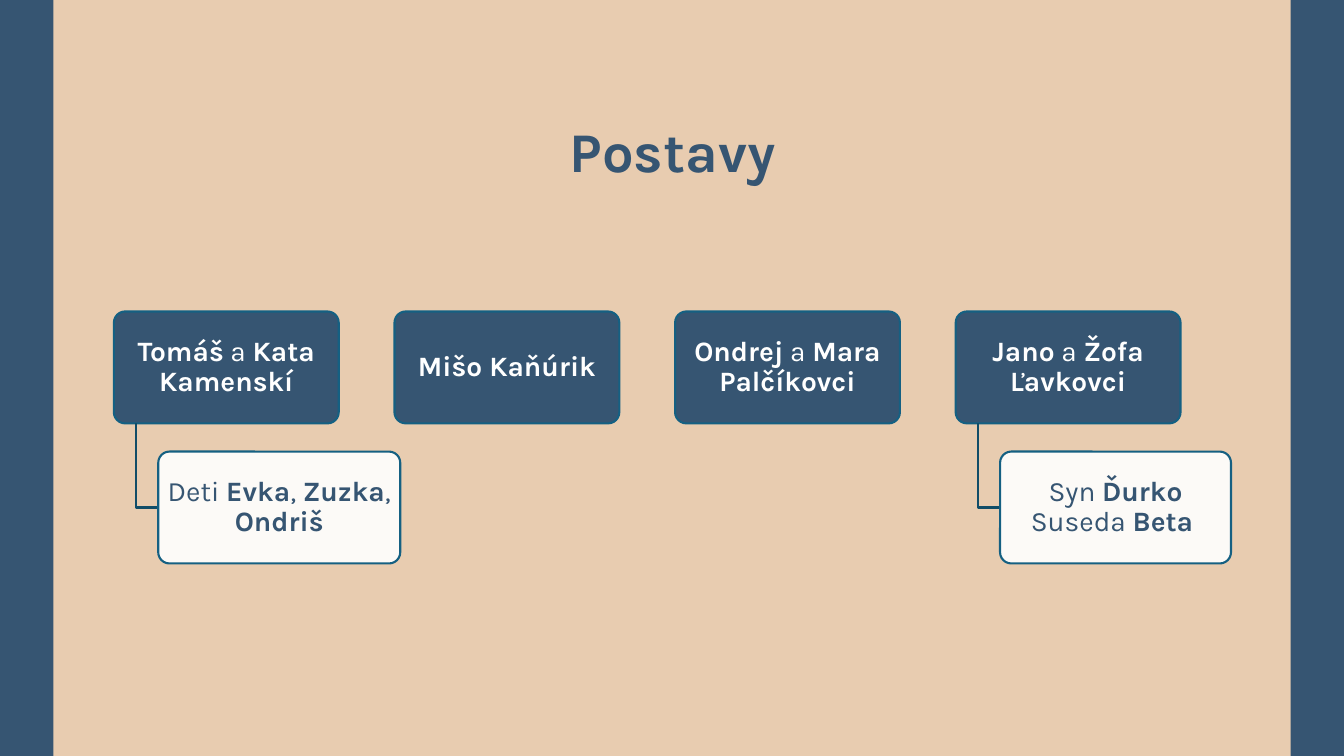
from lxml.etree import SubElement
from pptx import Presentation
from pptx.dml.color import RGBColor
from pptx.enum.shapes import MSO_SHAPE as Shape
from pptx.enum.text import MSO_ANCHOR as Anchor, PP_ALIGN as Align
from pptx.oxml.ns import qn
from pptx.util import Inches, Pt

COLORS = {
    "sand": "E8CCB0",
    "navy": "365572",
    "border": "156082",
    "link": "114D68",
    "white": "FFFFFF",
}
FONT = "Karla"
SLIDE_W, SLIDE_H = 13.33, 7.5
BAR_W = 0.53
FAMILY_W, BOX_H = 2.23, 1.11
FAMILY_LEFT, FAMILY_TOP, FAMILY_STEP = 1.13, 3.09, 2.783
LINK_INDENT, MEMBER_INDENT, MEMBER_DROP = 0.22, 0.44, 1.39

# Each family: runs (text, bold) of the heading, then width and runs of its members
FAMILIES = [
    ([("Tomáš", True), (" a ", False), ("Kata Kamenskí", True)],
     (2.4, [("Deti ", False), ("Evka", True), (", ", False), ("Zuzka", True),
            (", ", False), ("Ondriš", True)])),
    ([("Mišo Kaňúrik", True)], None),
    ([("Ondrej", True), (" a ", False), ("Mara Palčíkovci", True)], None),
    ([("Jano", True), (" a ", False), ("Žofa Ľavkovci", True)],
     (2.29, [("Syn ", False), ("Ďurko", True), (" Suseda ", False), ("Beta ", True)])),
]


def color(name):
    return RGBColor.from_string(COLORS[name])


def write(shape, runs, size, color_name):
    frame = shape.text_frame
    frame.word_wrap = True
    frame.vertical_anchor = Anchor.MIDDLE
    paragraph = frame.paragraphs[0]
    paragraph.alignment = Align.CENTER
    paragraph.line_spacing = 0.9
    for text, bold in runs:
        run = paragraph.add_run()
        run.text = text
        run.font.name = FONT
        run.font.size = Pt(size)
        run.font.bold = bold
        run.font.color.rgb = color(color_name)


def add_filled(slide, kind, box, fill):
    shape = slide.shapes.add_shape(kind, *map(Inches, box))
    shape.shadow.inherit = False
    shape.fill.solid()
    shape.fill.fore_color.rgb = color(fill)
    shape.line.fill.background()
    return shape


def add_card(slide, box, runs, fill, text_color):
    card = add_filled(slide, Shape.ROUNDED_RECTANGLE, box, fill)
    card.adjustments[0] = 0.1
    card.line.color.rgb = color("border")
    card.line.width = Pt(1.5)
    frame = card.text_frame
    frame.margin_left = frame.margin_right = Inches(0.04)
    frame.margin_top = frame.margin_bottom = Inches(0.03)
    write(card, runs, 20, text_color)
    return card


def add_link(slide, left, top, right, bottom):
    builder = slide.shapes.build_freeform(Inches(left), Inches(top))
    builder.add_line_segments(
        [(Inches(left), Inches(bottom)), (Inches(right), Inches(bottom))], close=False)
    link = builder.convert_to_shape()
    link.shadow.inherit = False
    link.fill.background()
    link.line.color.rgb = color("link")
    link.line.width = Pt(1.5)


def add_family(slide, left, top, heading, members):
    add_card(slide, (left, top, FAMILY_W, BOX_H), heading, "navy", "white")
    if members is None:
        return
    width, runs = members
    member_left, member_top = left + MEMBER_INDENT, top + MEMBER_DROP
    add_link(slide, left + LINK_INDENT, top + BOX_H, member_left, member_top + BOX_H / 2)
    card = add_card(slide, (member_left, member_top, width, BOX_H), runs, "white", "navy")
    # Let a little of the background through
    fill_color = card.fill._xPr.find(qn("a:solidFill"))[0]
    SubElement(fill_color, qn("a:alpha"), val="90000")


def add_title(slide, box, text):
    title = slide.shapes.add_textbox(*map(Inches, box))
    write(title, [(text, True)], 40, "navy")


def add_side_bars(slide, width, height):
    for left in (0, width - BAR_W):
        add_filled(slide, Shape.RECTANGLE, (left, 0, BAR_W, height), "navy")


def build_characters_slide(presentation):
    slide = presentation.slides.add_slide(presentation.slide_layouts[6])
    slide.background.fill.solid()
    slide.background.fill.fore_color.rgb = color("sand")
    add_title(slide, (0.92, 1.09, 11.5, 0.88), "Postavy")
    for index, (heading, members) in enumerate(FAMILIES):
        add_family(slide, FAMILY_LEFT + index * FAMILY_STEP, FAMILY_TOP, heading, members)
    add_side_bars(slide, SLIDE_W, SLIDE_H)


def main():
    presentation = Presentation()
    presentation.slide_width = Inches(SLIDE_W)
    presentation.slide_height = Inches(SLIDE_H)
    build_characters_slide(presentation)
    presentation.save("out.pptx")


if __name__ == "__main__":
    main()
